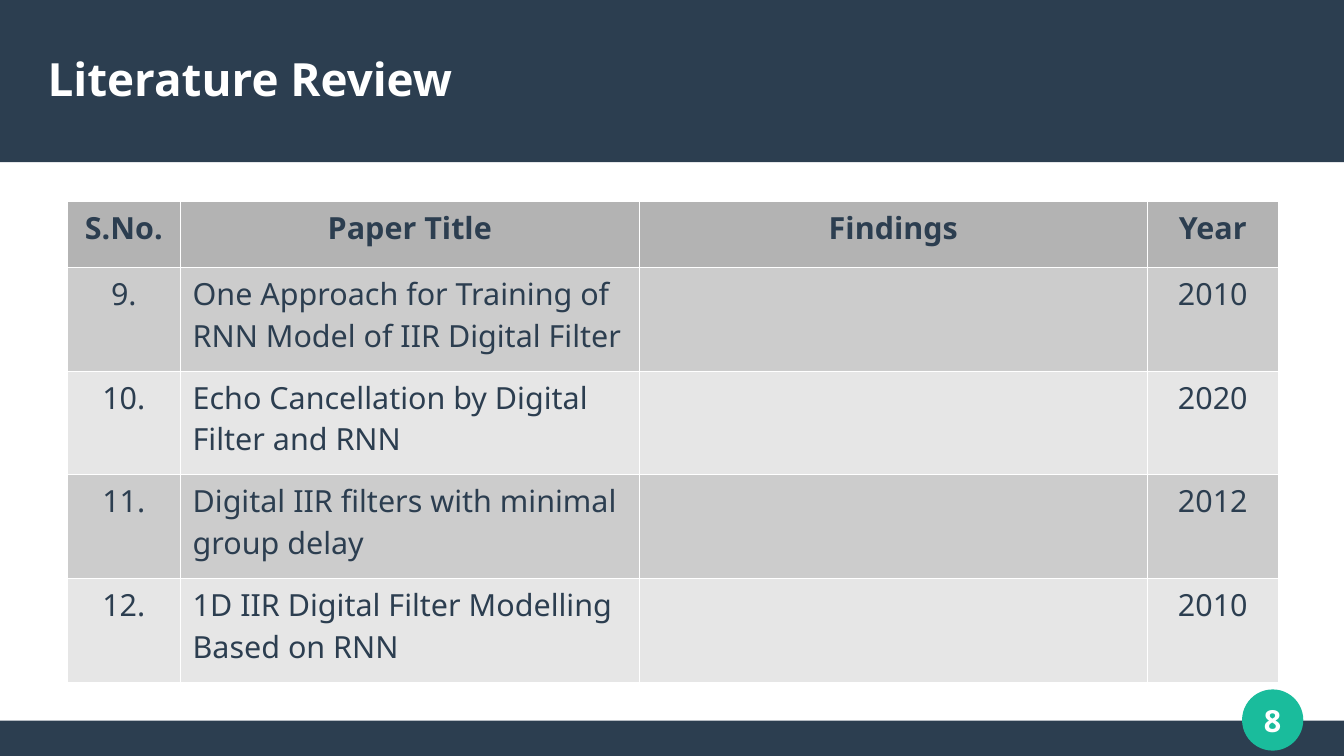
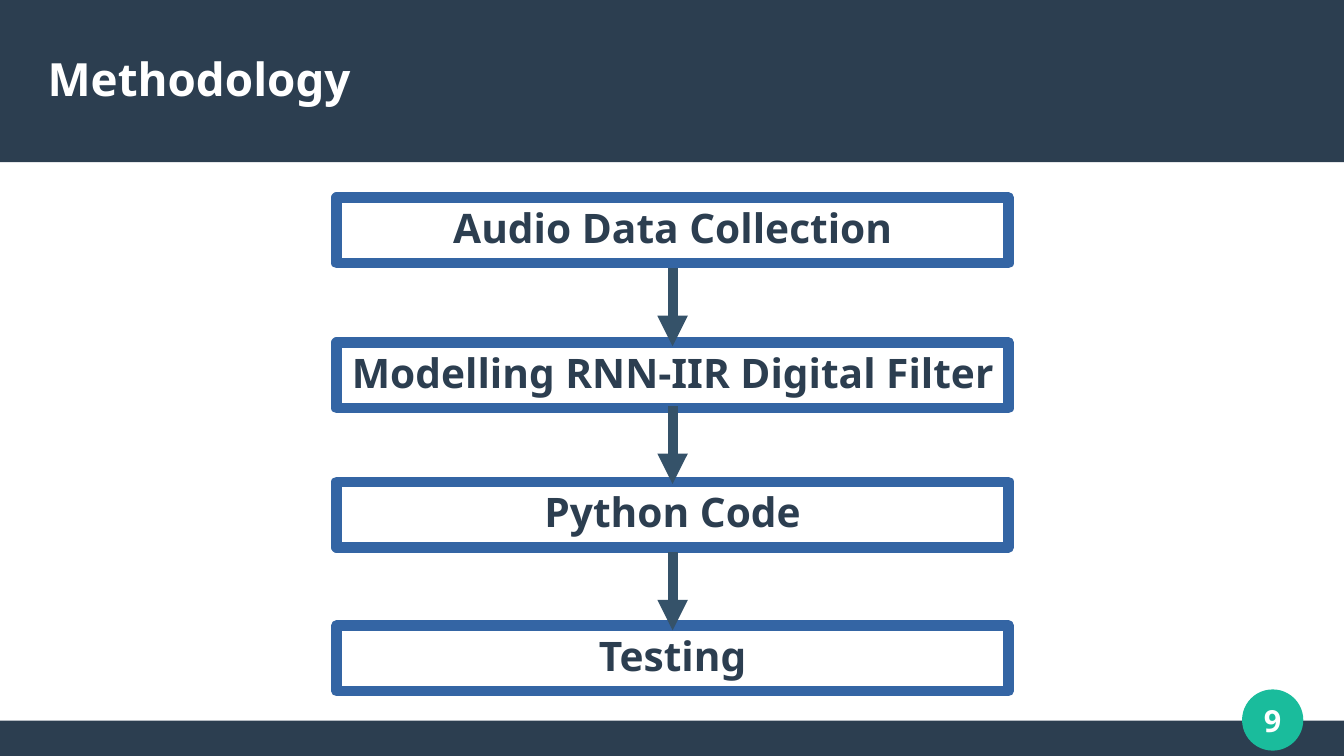
from lxml.etree import SubElement
from pptx import Presentation
from pptx.dml.color import RGBColor
from pptx.enum.shapes import MSO_CONNECTOR, MSO_SHAPE
from pptx.enum.text import MSO_ANCHOR, MSO_AUTO_SIZE, PP_ALIGN
from pptx.oxml.ns import qn
from pptx.util import Inches, Pt

NAVY = RGBColor(0x2C, 0x3E, 0x50)
TEAL = RGBColor(0x1A, 0xBC, 0x9C)
WHITE = RGBColor(0xFF, 0xFF, 0xFF)
BLUE = RGBColor(0x34, 0x65, 0xA4)
SLATE = RGBColor(0x35, 0x52, 0x69)
HEADER_GRAY = RGBColor(0xB3, 0xB3, 0xB3)
ROW_GRAYS = (RGBColor(0xCC, 0xCC, 0xCC), RGBColor(0xE6, 0xE6, 0xE6))

FONT = "Noto Sans"
PAGE_WIDTH, PAGE_HEIGHT = 11.02, 6.2
TITLE_AND_CONTENT, TITLE_ONLY = 1, 5

COLUMN_WIDTHS = (0.93, 3.76, 4.17, 1.07)
HEADER_HEIGHT, ROW_HEIGHT = 0.54, 0.85
PAPERS = (
    ("S.No.", "Paper Title", "Findings", "Year"),
    ("9.", "One Approach for Training of RNN Model of IIR Digital Filter", "", "2010"),
    ("10.", "Echo Cancellation by Digital Filter and RNN", "", "2020"),
    ("11.", "Digital IIR filters with minimal group delay", "", "2012"),
    ("12.", "1D IIR Digital Filter Modelling Based on RNN", "", "2010"),
)

STEPS = (
    ("Audio Data Collection", 0),
    ("Modelling RNN-IIR Digital Filter", 1.19),
    ("Python Code", 2.33),
    ("Testing", 3.51),
)
STEP_HEIGHT = 0.54
ARROW_TOPS = (0.58, 1.71, 2.91)
ARROW_LENGTH = 0.64


def inches(*lengths):
    return [Inches(length) for length in lengths]


def write(frame, text, size=18, color=NAVY, bold=False, align=PP_ALIGN.LEFT,
          anchor=MSO_ANCHOR.TOP, inset=None):
    if inset is not None:
        frame.word_wrap = True
        frame.auto_size = MSO_AUTO_SIZE.NONE
        frame.vertical_anchor = anchor
        frame.margin_left = frame.margin_right = Inches(inset)
        frame.margin_top = frame.margin_bottom = Inches(inset)
    para = frame.paragraphs[0]
    para.alignment = align
    para.space_before = Pt(0)
    span = para.add_run()
    span.text = text
    span.font.name = FONT
    span.font.size = Pt(size)
    span.font.bold = bold
    span.font.color.rgb = color


def add_filled_shape(page, kind, box, color):
    shape = page.shapes.add_shape(kind, *inches(*box))
    shape.shadow.inherit = False
    shape.fill.solid()
    shape.fill.fore_color.rgb = color
    shape.line.fill.background()
    return shape


def decorate_master(deck, page):
    parts = (
        (MSO_SHAPE.RECTANGLE, (0, 5.91, PAGE_WIDTH, 0.29), NAVY),
        (MSO_SHAPE.RECTANGLE, (0, 0, PAGE_WIDTH, 1.33), NAVY),
        (MSO_SHAPE.OVAL, (10.19, 5.66, 0.49, 0.49), TEAL),
    )
    tree = deck.slide_master.shapes.element
    for order, (kind, box, color) in enumerate(parts):
        shape = add_filled_shape(page, kind, box, color)
        if kind == MSO_SHAPE.OVAL:
            shape.line.color.rgb = color
            shape.line.width = Pt(0.85)
        shape.element.nvSpPr.cNvPr.set("id", str(100 + order))
        tree.insert(2 + order, shape.element)


def add_page(deck, layout, title, number):
    page = deck.slides.add_slide(deck.slide_layouts[layout])
    heading = page.shapes.title
    heading.left, heading.top, heading.width, heading.height = inches(0.39, 0.25, 10.24, 0.79)
    write(heading.text_frame, title, size=27, color=WHITE, bold=True,
          anchor=MSO_ANCHOR.MIDDLE, inset=0)
    badge = page.shapes.add_textbox(*inches(10.04, 5.61, 0.79, 0.59))
    write(badge.text_frame, str(number), color=WHITE, bold=True,
          align=PP_ALIGN.CENTER, anchor=MSO_ANCHOR.MIDDLE, inset=0)
    return page


def style_cell(cell, color):
    properties = cell._tc.get_or_add_tcPr()
    for side in ("a:lnL", "a:lnR", "a:lnT", "a:lnB"):
        border = SubElement(properties, qn(side), w=str(Pt(0.06)))
        fill = SubElement(border, qn("a:solidFill"))
        SubElement(fill, qn("a:srgbClr"), val=str(WHITE))
    cell.fill.solid()
    cell.fill.fore_color.rgb = color


def add_paper_table(page, left, top):
    height = HEADER_HEIGHT + ROW_HEIGHT * (len(PAPERS) - 1)
    box = inches(left, top, sum(COLUMN_WIDTHS), height)
    table = page.shapes.add_table(len(PAPERS), len(COLUMN_WIDTHS), *box).table
    for column, width in zip(table.columns, COLUMN_WIDTHS):
        column.width = Inches(width)
    for row, texts in enumerate(PAPERS):
        is_header = row == 0
        table.rows[row].height = Inches(HEADER_HEIGHT if is_header else ROW_HEIGHT)
        color = HEADER_GRAY if is_header else ROW_GRAYS[(row - 1) % 2]
        for column, text in enumerate(texts):
            cell = table.cell(row, column)
            style_cell(cell, color)
            if text:
                is_paper = column == 1 and not is_header
                write(cell.text_frame, text, bold=is_header,
                      align=PP_ALIGN.LEFT if is_paper else PP_ALIGN.CENTER)


def format_step(shape, text, box):
    shape.left, shape.top, shape.width, shape.height = inches(*box)
    shape.fill.background()
    shape.line.color.rgb = BLUE
    shape.line.width = Pt(6)
    write(shape.text_frame, text, size=24, bold=True, align=PP_ALIGN.CENTER, inset=0.04)


def remove_bullet(para):
    properties = para._p.get_or_add_pPr()
    properties.set("marL", "0")
    properties.set("indent", "0")
    SubElement(properties, qn("a:buNone"))


def add_arrow(page, center, top):
    arrow = page.shapes.add_connector(
        MSO_CONNECTOR.STRAIGHT, *inches(center, top, center, top + ARROW_LENGTH))
    arrow.line.color.rgb = SLATE
    arrow.line.width = Pt(6)
    SubElement(arrow.line._get_or_add_ln(), qn("a:tailEnd"), type="triangle")
    SubElement(arrow.element.spPr, qn("a:effectLst"))


def add_flow(page, left, top, width):
    for order, (text, offset) in enumerate(STEPS):
        box = (left, top + offset, width, STEP_HEIGHT)
        if order == 0:
            shape = page.placeholders[1]
        else:
            shape = add_filled_shape(page, MSO_SHAPE.RECTANGLE, box, WHITE)
        format_step(shape, text, box)
        if order == 0:
            remove_bullet(shape.text_frame.paragraphs[0])
    for offset in ARROW_TOPS:
        add_arrow(page, left + width / 2, top + offset)


def main():
    deck = Presentation()
    deck.slide_width, deck.slide_height = inches(PAGE_WIDTH, PAGE_HEIGHT)
    review = add_page(deck, TITLE_ONLY, "Literature Review", 8)
    decorate_master(deck, review)
    add_paper_table(review, 0.55, 1.65)
    methodology = add_page(deck, TITLE_AND_CONTENT, "Methodology", 9)
    add_flow(methodology, 2.76, 1.62, 5.51)
    deck.save("out.pptx")


if __name__ == "__main__":
    main()
